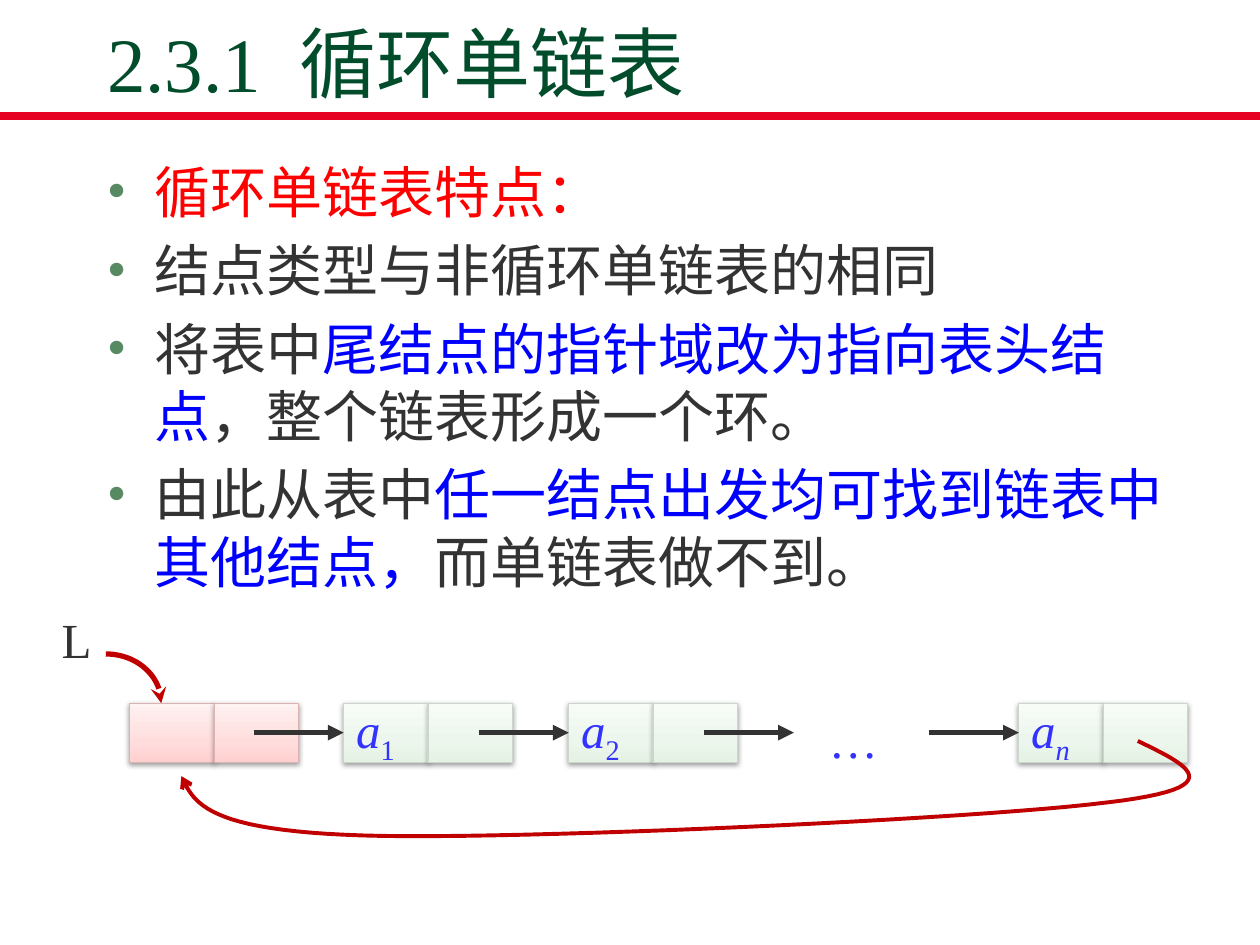
"""Build the slide on circular singly linked lists."""
from pptx import Presentation
from pptx import util as u
from pptx.dml import color
from pptx.enum import lang, shapes, text
from pptx.oxml import parse_xml
from pptx.oxml import ns

Pt = u.Pt
FONT = "Times New Roman"


def rgb(value):
    return color.RGBColor.from_string(value)


def style_line(sp, value, width, head=None):
    sp.line.color.rgb = rgb(value)
    sp.line.width = Pt(width)
    if head:
        sp.line._get_or_add_ln().append(
            parse_xml(f'<a:tailEnd {ns.nsdecls("a")} type="{head}"/>'))
    sp._element.spPr.append(parse_xml(f'<a:effectLst {ns.nsdecls("a")}/>'))


prs = Presentation()
prs.slide_width, prs.slide_height = Pt(720), Pt(540)
s = prs.slides.add_slide(prs.slide_layouts[5])

rule = s.shapes.add_connector(shapes.MSO_CONNECTOR.STRAIGHT, Pt(0), Pt(66.2), Pt(720), Pt(66.2))
style_line(rule, "E60223", 4.5)

title = s.shapes.title
title.left, title.top, title.width, title.height = Pt(54), Pt(18.7), Pt(612), Pt(46.8)
tf = title.text_frame
tf.auto_size = text.MSO_AUTO_SIZE.NONE
tf.vertical_anchor = text.MSO_ANCHOR.BOTTOM
p = tf.paragraphs[0]
p.alignment = text.PP_ALIGN.LEFT
for part in ("2.3.1", " ", "循环单链表"):
    r = p.add_run()
    r.text = part
    r.font.name, r.font.size = FONT, Pt(44)
    r.font.color.rgb = rgb("004C2B")
    r.font.language_id = lang.MSO_LANGUAGE_ID.SIMPLIFIED_CHINESE
    if part == " ":
        r._r.get_or_add_rPr().set("spc", "1100")

points = [
    [("循环单链表特点：", "FF0000")],
    [("结点类型与非循环单链表的相同", "333333")],
    [("将表中", "333333"), ("尾结点的指针域改为指向表头结点", "0000FF"),
     ("，整个链表形成一个环。", "333333")],
    [("由此从表中", "333333"), ("任一结点出发均可找到链表中其他结点，", "0000FF"),
     ("而单链表做不到。", "333333")],
]
body = s.shapes.add_textbox(Pt(54), Pt(86.4), Pt(626.4), Pt(393))
tf = body.text_frame
tf.word_wrap = True
for i, parts in enumerate(points):
    p = tf.add_paragraph() if i else tf.paragraphs[0]
    pPr = p._p.get_or_add_pPr()
    for key, value in (("marL", Pt(27)), ("indent", -Pt(27)), ("hangingPunct", 0)):
        pPr.set(key, str(int(value)))
    pPr.append(parse_xml(f'<a:buClr {ns.nsdecls("a")}><a:srgbClr val="578963"/></a:buClr>'))
    pPr.append(parse_xml(f'<a:buFont {ns.nsdecls("a")} typeface="{FONT}"/>'))
    pPr.append(parse_xml(f'<a:buChar {ns.nsdecls("a")} char="•"/>'))
    if i:
        p.space_before = Pt(6.4)
    for part, value in parts:
        r = p.add_run()
        r.text = part
        r.font.name, r.font.size = FONT, Pt(32)
        r.font.color.rgb = rgb(value)
        r.font.language_id = lang.MSO_LANGUAGE_ID.SIMPLIFIED_CHINESE

first_x, step, top = 196.4, 128.6, 401.8
cell_w, cell_h = 48.25, 33.75
middle = top + cell_h / 2
red = ("FFD0D0", "FFDDDD", "FFF2F2", "DDB2B2")
green = ("E5F2E5", "ECF6EC", "F7FCF7", "CCD6CC")
nodes = [(74.2, "", red), (first_x, "1", green), (first_x + step, "2", green),
         (first_x + 3 * step, "n", green)]
data_cells = {}
for x, index, (low, mid, high, edge) in nodes:
    for col in range(2):
        sp = s.shapes.add_shape(shapes.MSO_SHAPE.RECTANGLE, Pt(x + col * cell_w), Pt(top),
                                Pt(cell_w), Pt(cell_h))
        stops = "".join(f'<a:gs pos="{pos}000"><a:srgbClr val="{value}"/></a:gs>'
                        for pos, value in ((0, low), (35, mid), (100, high)))
        spPr = sp._element.spPr
        spPr.insert(2, parse_xml(
            f'<a:gradFill {ns.nsdecls("a")} rotWithShape="1"><a:gsLst>{stops}</a:gsLst>'
            '<a:lin ang="16200000" scaled="1"/></a:gradFill>'))
        style_line(sp, edge, 0.75)
        spPr.find(ns.qn("a:effectLst")).append(parse_xml(
            f'<a:outerShdw {ns.nsdecls("a")} blurRad="{Pt(3.1)}" dist="{Pt(1.6)}" dir="5400000" '
            'rotWithShape="0"><a:srgbClr val="000000"><a:alpha val="38000"/></a:srgbClr>'
            '</a:outerShdw>'))
        if index and col == 0:
            data_cells[index] = sp
            tf = sp.text_frame
            tf.word_wrap = True
            tf.vertical_anchor = text.MSO_ANCHOR.MIDDLE
            p = tf.paragraphs[0]
            p.alignment = text.PP_ALIGN.LEFT
            for part in ("a", index):
                r = p.add_run()
                r.text = part
                r.font.name, r.font.size = FONT, Pt(28)
                r.font.italic = part.isalpha()
                r.font.color.rgb = rgb("3333FF")
            r._r.get_or_add_rPr().set("baseline", "-25000")

for label, x, y, w, value in (("…", 466.6, 401.8, 51, "3333FF"), ("L", 28.1, 344.9, 39, "333333")):
    tb = s.shapes.add_textbox(Pt(x), Pt(y), Pt(w), Pt(41))
    tf = tb.text_frame
    tf.word_wrap = True
    tf.text = label
    r = tf.paragraphs[0].runs[0]
    r.font.name, r.font.size = FONT, Pt(28)
    r.font.color.rgb = rgb(value)

for i, target in enumerate(("1", "2", None, "n")):
    end_x = first_x + i * step
    link = s.shapes.add_connector(shapes.MSO_CONNECTOR.STRAIGHT, Pt(end_x - 51.5), Pt(middle),
                                  Pt(end_x), Pt(middle))
    if target:
        link.end_connect(data_cells[target], 1)
    style_line(link, "333333", 3, "triangle")

curves = [
    (3, "stealth", [(60.5, 373.7), (77.8, 373.7), (92.2, 385.9), (92.2, 401.8)]),
    (2.25, "arrow", [(650.2, 423.4), (678.2, 437), (706.3, 450), (632.2, 458.6),
                     (558, 468), (295.2, 480.2), (206.6, 477.4),
                     (118.8, 474.5), (110.9, 459.4), (103.7, 443.5)]),
]
for width, head, knots in curves:
    outline = []
    for k in range(0, len(knots) - 1, 3):
        for t in (n / 24 for n in range(1, 25)):
            weights = ((1 - t) ** 3, 3 * t * (1 - t) ** 2, 3 * t * t * (1 - t), t ** 3)
            outline.append(tuple(Pt(sum(w * knot[axis] for w, knot in zip(weights, knots[k:k + 4])))
                                 for axis in (0, 1)))
    builder = s.shapes.build_freeform(Pt(knots[0][0]), Pt(knots[0][1]))
    builder.add_line_segments(outline, close=False)
    sp = builder.convert_to_shape()
    sp.fill.background()
    style_line(sp, "C00000", width, head)

prs.save("out.pptx")
